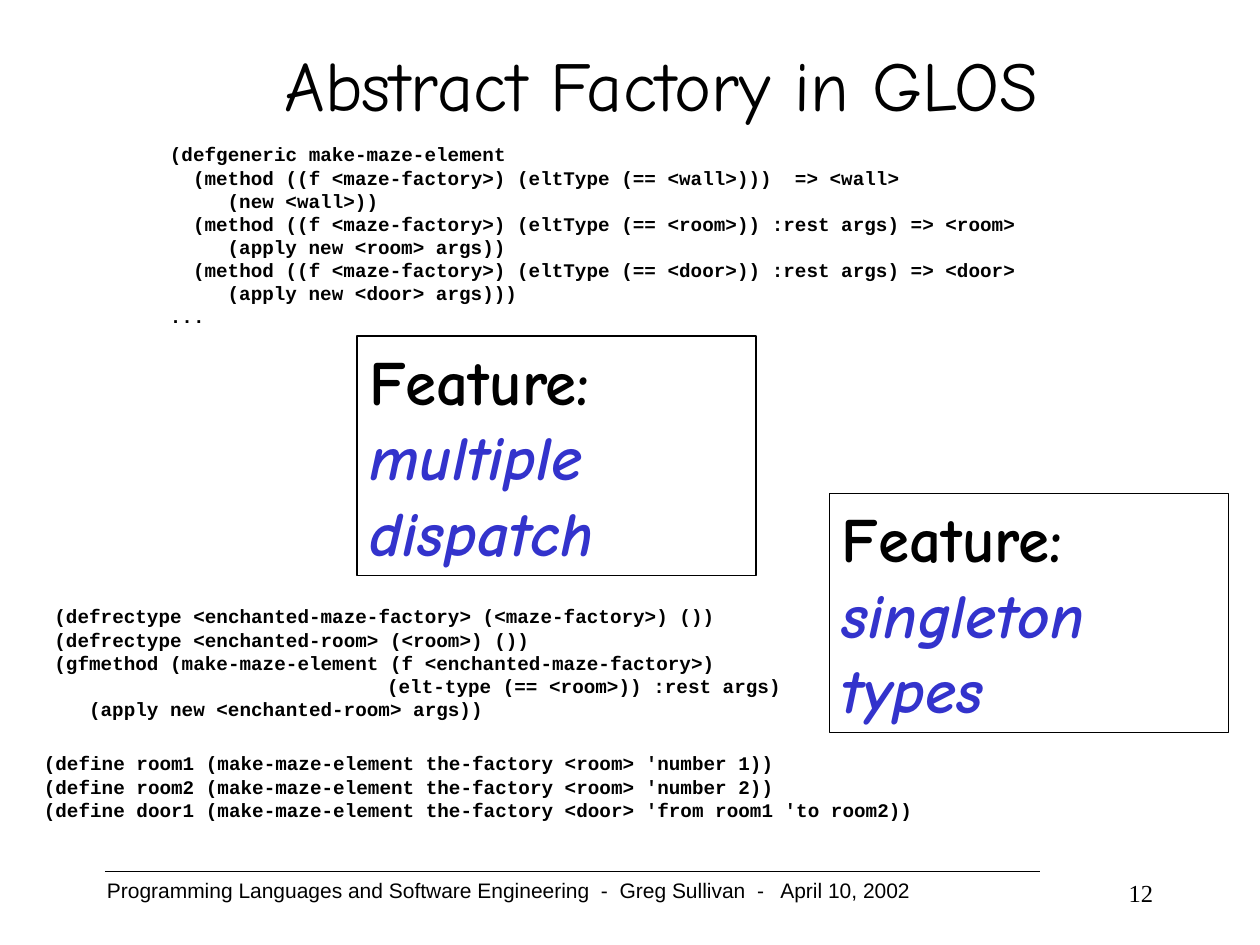
from dataclasses import dataclass

from lxml.etree import SubElement
from pptx import Presentation
from pptx.dml.color import RGBColor
from pptx.enum.shapes import MSO_CONNECTOR, MSO_SHAPE
from pptx.enum.text import MSO_ANCHOR, PP_ALIGN
from pptx.oxml.ns import qn
from pptx.util import Inches, Pt

COLUMNS, ROWS = 120, 90
BLANK_LAYOUT = 6


@dataclass(frozen=True)
class Theme:
    ink: RGBColor = RGBColor(0x00, 0x00, 0x00)
    accent: RGBColor = RGBColor(0x33, 0x33, 0xCC)
    display_font: str = "Comic Neue"
    code_font: str = "Courier New"
    footer_font: str = "Arial"
    number_font: str = "Times New Roman"
    title_size: float = 40
    feature_size: float = 36
    code_size: float = 11
    footer_size: float = 12
    number_size: float = 14
    line_width: float = 0.75
    feature_space: float = 22.5
    code_advance: float = 0.6  # character width as a share of the type size


class SlideBuilder:
    """Places styled elements on a slide by grid column and row."""

    def __init__(self, presentation, theme):
        self.theme = theme
        self.column = presentation.slide_width / COLUMNS
        self.row = presentation.slide_height / ROWS
        layout = presentation.slide_layouts[BLANK_LAYOUT]
        self.slide = presentation.slides.add_slide(layout)

    def place(self, left, top, width, height):
        return (round(left * self.column), round(top * self.row),
                round(width * self.column), round(height * self.row))

    def add_run(self, paragraph, text, name, size, color=None, **emphasis):
        run = paragraph.add_run()
        run.text = text
        run.font.color.rgb = color or self.theme.ink
        for attribute, value in {"name": name, "size": Pt(size), **emphasis}.items():
            setattr(run.font, attribute, value)

    def add_frame(self, cell):
        frame = self.slide.shapes.add_textbox(*self.place(*cell)).text_frame
        frame.word_wrap = True
        return frame

    def add_label(self, cell, text, name, size, alignment=PP_ALIGN.LEFT,
                  anchor=MSO_ANCHOR.TOP):
        frame = self.add_frame(cell)
        frame.vertical_anchor = anchor
        paragraph = frame.paragraphs[0]
        paragraph.alignment = alignment
        self.add_run(paragraph, text, name, size)

    def add_code(self, cell, lines):
        """Add code lines given as (indent in characters, text)."""
        theme = self.theme
        frame = self.add_frame(cell)
        for index, (indent, text) in enumerate(lines):
            paragraph = frame.add_paragraph() if index else frame.paragraphs[0]
            margin = Pt(indent * theme.code_size * theme.code_advance)
            properties = paragraph._p.get_or_add_pPr()
            properties.set("marL", str(int(margin)))
            properties.set("indent", "0")
            self.add_run(paragraph, text, theme.code_font, theme.code_size, bold=True)

    def add_feature(self, left, top, feature):
        theme = self.theme
        box = self.slide.shapes.add_shape(
            MSO_SHAPE.RECTANGLE, *self.place(left, top, 38, 22.8))
        box.shadow.inherit = False
        box.fill.background()
        box.line.color.rgb = theme.ink
        box.line.width = Pt(theme.line_width)
        frame = box.text_frame
        frame.word_wrap = True
        frame.vertical_anchor = MSO_ANCHOR.TOP
        paragraph = frame.paragraphs[0]
        paragraph.alignment = PP_ALIGN.LEFT
        paragraph.space_before = Pt(theme.feature_space)
        style = {"name": theme.display_font, "size": theme.feature_size, "bold": True}
        self.add_run(paragraph, "Feature: ", **style)
        self.add_run(paragraph, feature, color=theme.accent, italic=True, **style)

    def add_rule(self, left, right, row):
        start_x, y, width, _ = self.place(left, row, right - left, 0)
        rule = self.slide.shapes.add_connector(
            MSO_CONNECTOR.STRAIGHT, start_x, y, start_x + width, y)
        rule.line.color.rgb = self.theme.ink
        rule.line.width = Pt(self.theme.line_width)
        SubElement(rule._element.spPr, qn("a:effectLst"))


GENERIC_CODE = [
    (0, "(defgeneric make-maze-element"),
    (2, "(method ((f <maze-factory>) (eltType (== <wall>)))  => <wall>"),
    (5, "(new <wall>))"),
    (2, "(method ((f <maze-factory>) (eltType (== <room>)) :rest args) => <room>"),
    (5, "(apply new <room> args))"),
    (2, "(method ((f <maze-factory>) (eltType (== <door>)) :rest args) => <door>"),
    (5, "(apply new <door> args)))"),
    (0, "..."),
]
ENCHANTED_CODE = [
    (0, "(defrectype <enchanted-maze-factory> (<maze-factory>) ())"),
    (0, "(defrectype <enchanted-room> (<room>) ())"),
    (0, "(gfmethod (make-maze-element (f <enchanted-maze-factory>)"),
    (28.8, "(elt-type (== <room>)) :rest args)"),
    (3, "(apply new <enchanted-room> args))"),
]
INSTANCE_CODE = [
    (0, "(define room1 (make-maze-element the-factory <room> 'number 1))"),
    (0, "(define room2 (make-maze-element the-factory <room> 'number 2))"),
    (0, "(define door1 (make-maze-element the-factory <door> 'from room1 'to room2))"),
]
FOOTER = "Programming Languages and Software Engineering  -  Greg Sullivan  -   April 10, 2002"


def main():
    presentation = Presentation()
    presentation.slide_width, presentation.slide_height = Inches(10), Inches(7.5)
    theme = Theme()
    builder = SlideBuilder(presentation, theme)

    builder.add_rule(10, 99, 83)
    builder.add_label((12, 2, 102, 12), "Abstract Factory in GLOS", theme.display_font,
                      theme.title_size, PP_ALIGN.CENTER, MSO_ANCHOR.MIDDLE)
    builder.add_code((15, 13, 92, 21), GENERIC_CODE)
    builder.add_feature(34, 32, "multiple dispatch")
    builder.add_code((3, 71, 108, 10), INSTANCE_CODE)
    builder.add_code((4, 57, 76, 12.25), ENCHANTED_CODE)
    builder.add_feature(79, 47, "singleton types")
    builder.add_label((9, 83, 82, 5), FOOTER, theme.footer_font, theme.footer_size)
    builder.add_label((86, 83, 25, 5), "12", theme.number_font, theme.number_size,
                      PP_ALIGN.RIGHT)

    presentation.save("out.pptx")


if __name__ == "__main__":
    main()
